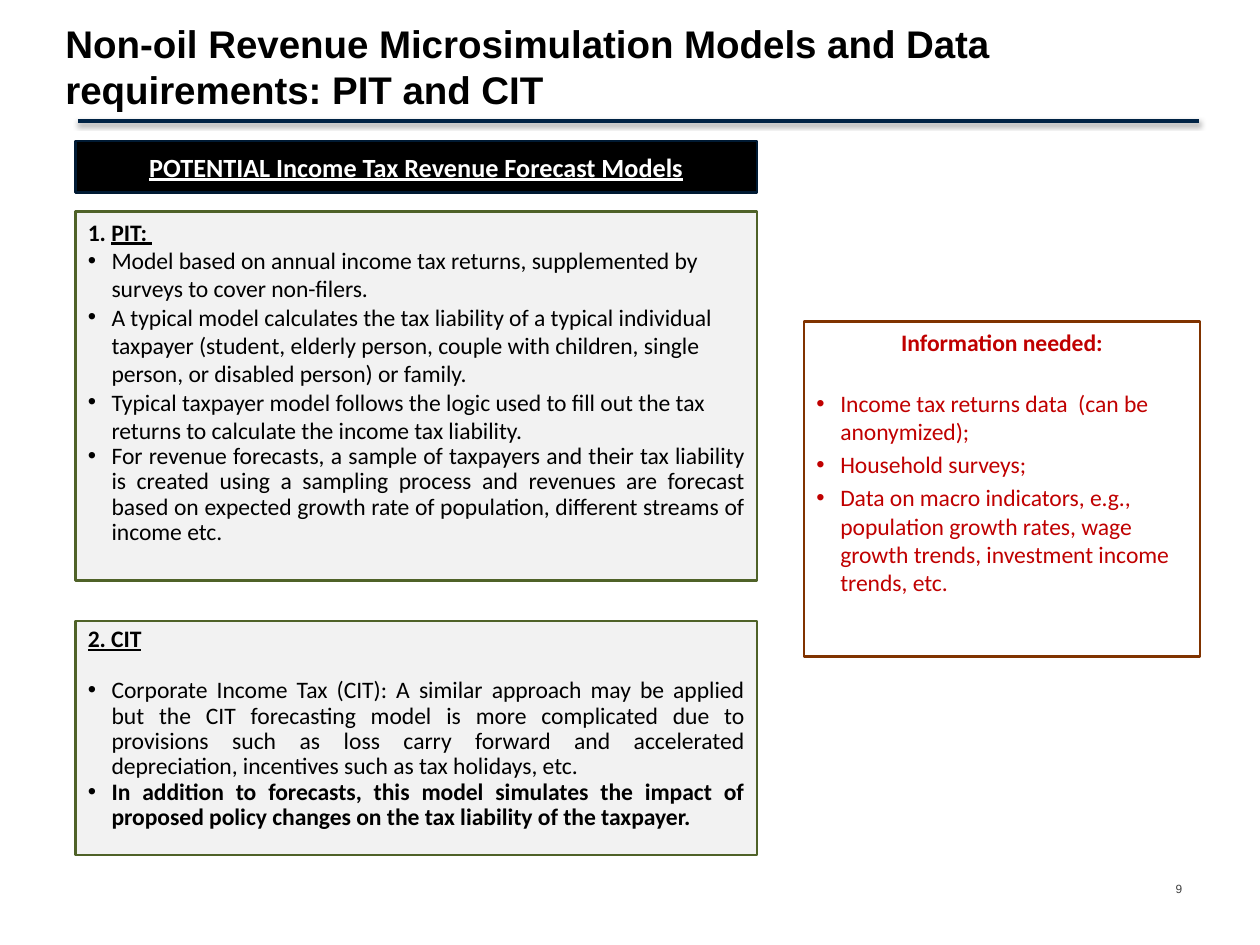
from lxml import etree
from pptx import Presentation
from pptx.dml.color import RGBColor
from pptx.enum.shapes import MSO_CONNECTOR, MSO_SHAPE
from pptx.enum.text import MSO_ANCHOR, PP_ALIGN
from pptx.oxml import parse_xml
from pptx.oxml.ns import nsdecls, qn
from pptx.util import Cm, Pt

BLACK = RGBColor(0x00, 0x00, 0x00)
WHITE = RGBColor(0xFF, 0xFF, 0xFF)
GREY = RGBColor(0x40, 0x40, 0x40)
PALE = RGBColor(0xF2, 0xF2, 0xF2)
GREEN = RGBColor(0x4F, 0x62, 0x28)
NAVY = RGBColor(0x00, 0x1A, 0x33)
RULE_BLUE = RGBColor(0x00, 0x23, 0x45)
BROWN = RGBColor(0x80, 0x33, 0x00)
RED = RGBColor(0xC0, 0x00, 0x00)
LEFT, CENTER, JUSTIFY = PP_ALIGN.LEFT, PP_ALIGN.CENTER, PP_ALIGN.JUSTIFY
TOP, MIDDLE, BOTTOM = MSO_ANCHOR.TOP, MSO_ANCHOR.MIDDLE, MSO_ANCHOR.BOTTOM
RECTANGLE, STRAIGHT = MSO_SHAPE.RECTANGLE, MSO_CONNECTOR.STRAIGHT

BODY = {"name": "Calibri", "size": Pt(13.5), "bold": False}
HEADING = {**BODY, "bold": True}
UNDERLINED = {**HEADING, "underline": True}
BANNER = {**UNDERLINED, "size": Pt(15)}
TITLE = {"name": "Arial", "size": Pt(22), "bold": True}
NUMBER = {"name": "Arial", "size": Pt(6.8)}
TIGHT = {"alignment": JUSTIFY, "line_spacing": 0.9}
SPACED = {"alignment": LEFT, "space_before": Pt(2.7)}
PLAIN = {"alignment": LEFT}
CENTERED = {"alignment": CENTER}
INDENT = Cm(0.48)

PIT = [
    ([("1. ", HEADING), ("PIT: ", UNDERLINED)], PLAIN, False),
    ([("Model based on annual income tax returns, supplemented by surveys "
       "to cover non-filers.", BODY)], PLAIN, True),
    ([("A typical model calculates the tax liability of a typical individual "
       "taxpayer (student, elderly person, couple with children, single "
       "person, or disabled person) or family.", BODY)], PLAIN, True),
    ([("Typical taxpayer model follows the logic used to fill out the tax "
       "returns to calculate the income tax liability.", BODY)], PLAIN, True),
    ([("For revenue forecasts, a sample of taxpayers and their tax liability "
       "is created using a sampling process and revenues are forecast based "
       "on expected growth rate of population, different streams of income "
       "etc.", BODY)], TIGHT, True),
]
CIT = [
    ([("2. CIT", UNDERLINED)], {**TIGHT, "space_after": Pt(14.5)}, False),
    ([("Corporate Income Tax (CIT): A similar approach may be applied but the "
       "CIT forecasting model is more complicated due to provisions such as "
       "loss carry forward and accelerated depreciation, incentives such as "
       "tax holidays, etc.", BODY)], TIGHT, True),
    ([("In addition to forecasts, this model simulates the impact of proposed "
       "policy changes on the tax liability of the taxpayer.", HEADING)], TIGHT, True),
]
INFORMATION = [
    ([("Information needed:", HEADING)], {**CENTERED, "space_after": Pt(16.1)}, False),
    ([("Income tax returns data  (can be anonymized);", BODY)], SPACED, True),
    ([("Household surveys;", BODY)], SPACED, True),
    ([("Data on macro indicators, e.g., population growth rates, wage growth "
       "trends, investment income trends, etc.", BODY)], SPACED, True),
]


def set_format(target, values):
    """Set each named attribute of the target."""
    for name, value in values.items():
        setattr(target, name, value)


def add_bullet(paragraph):
    """Give the paragraph a hanging round bullet."""
    properties = paragraph._p.get_or_add_pPr()
    properties.set("marL", str(INDENT))
    properties.set("indent", str(-INDENT))
    etree.SubElement(properties, qn("a:buFont")).set("typeface", "Arial")
    etree.SubElement(properties, qn("a:buChar")).set("char", "•")


def write(frame, content, color, anchor):
    """Write the paragraphs of content into a text frame."""
    set_format(frame, {"word_wrap": True, "vertical_anchor": anchor})
    for index, (parts, layout, bulleted) in enumerate(content):
        paragraph = frame.add_paragraph() if index else frame.paragraphs[0]
        set_format(paragraph, layout)
        if bulleted:
            add_bullet(paragraph)
        for words, style in parts:
            run = paragraph.add_run()
            run.text = words
            set_format(run.font, style)
            run.font.color.rgb = color


def add_panel(slide, box, content, fill, border, color, anchor=TOP):
    """Draw a bordered panel with text in the box."""
    panel = slide.shapes.add_shape(RECTANGLE, *map(Cm, box))
    panel.shadow.inherit = False
    if fill is None:
        panel.fill.background()
    else:
        panel.fill.solid()
        panel.fill.fore_color.rgb = fill
    panel.line.color.rgb = border
    panel.line.width = Pt(1.5)
    write(panel.text_frame, content, color, anchor)


def add_label(slide, box, content, color, anchor, bottom=0, top=0):
    """Place text without side margins in the box."""
    frame = slide.shapes.add_textbox(*map(Cm, box)).text_frame
    set_format(frame, {"margin_left": 0, "margin_right": 0,
                       "margin_top": Cm(top), "margin_bottom": Cm(bottom)})
    write(frame, content, color, anchor)


def add_header(slide, box):
    """Place the title in the box and a shadowed rule below it."""
    left, top, width, height = box
    title = "Non-oil Revenue Microsimulation Models and Data requirements: PIT and CIT"
    add_label(slide, box, [([(title, TITLE)], PLAIN, False)], BLACK, BOTTOM, bottom=0.05)
    start, level = left + 0.25, top + height + 0.13
    rule = slide.shapes.add_connector(
        STRAIGHT, Cm(start), Cm(level), Cm(start + 22.61), Cm(level))
    rule.line.color.rgb = RULE_BLUE
    rule.line.width = Pt(2)
    rule._element.spPr.append(parse_xml(
        f'<a:effectLst {nsdecls("a")}><a:outerShdw blurRad="{Pt(3.1)}" '
        f'dist="{Pt(1.6)}" dir="5400000" rotWithShape="0"><a:srgbClr val="{BLACK}">'
        '<a:alpha val="38000"/></a:srgbClr></a:outerShdw></a:effectLst>'))


def add_models(slide, box):
    """Stack the banner and the two model panels in the box."""
    left, top, width, height = box
    banner = [([("POTENTIAL Income Tax Revenue Forecast Models", BANNER)], CENTERED, False)]
    add_panel(slide, (left, top, width, 1.04), banner, BLACK, NAVY, WHITE, MIDDLE)
    add_panel(slide, (left, top + 1.42, width, 7.44), PIT, PALE, GREEN, BLACK)
    cit_top = top + 9.68
    add_panel(slide, (left, cit_top, width, top + height - cit_top),
              CIT, PALE, GREEN, BLACK)


def main():
    """Build the slide and save it."""
    deck = Presentation()
    set_format(deck, {"slide_width": Cm(25.4), "slide_height": Cm(19.05)})
    slide = deck.slides.add_slide(deck.slide_layouts[6])
    add_header(slide, (1.32, 0.71, 23.19, 1.6))
    add_models(slide, (1.52, 2.84, 13.74, 14.4))
    add_panel(slide, (16.21, 6.48, 7.98, 6.76), INFORMATION, None, BROWN, RED)
    add_label(slide, (23.7, 17.68, 0.79, 0.61), [([("9", NUMBER)], PLAIN, False)],
              GREY, TOP, top=0.1)
    deck.save("out.pptx")


if __name__ == "__main__":
    main()
